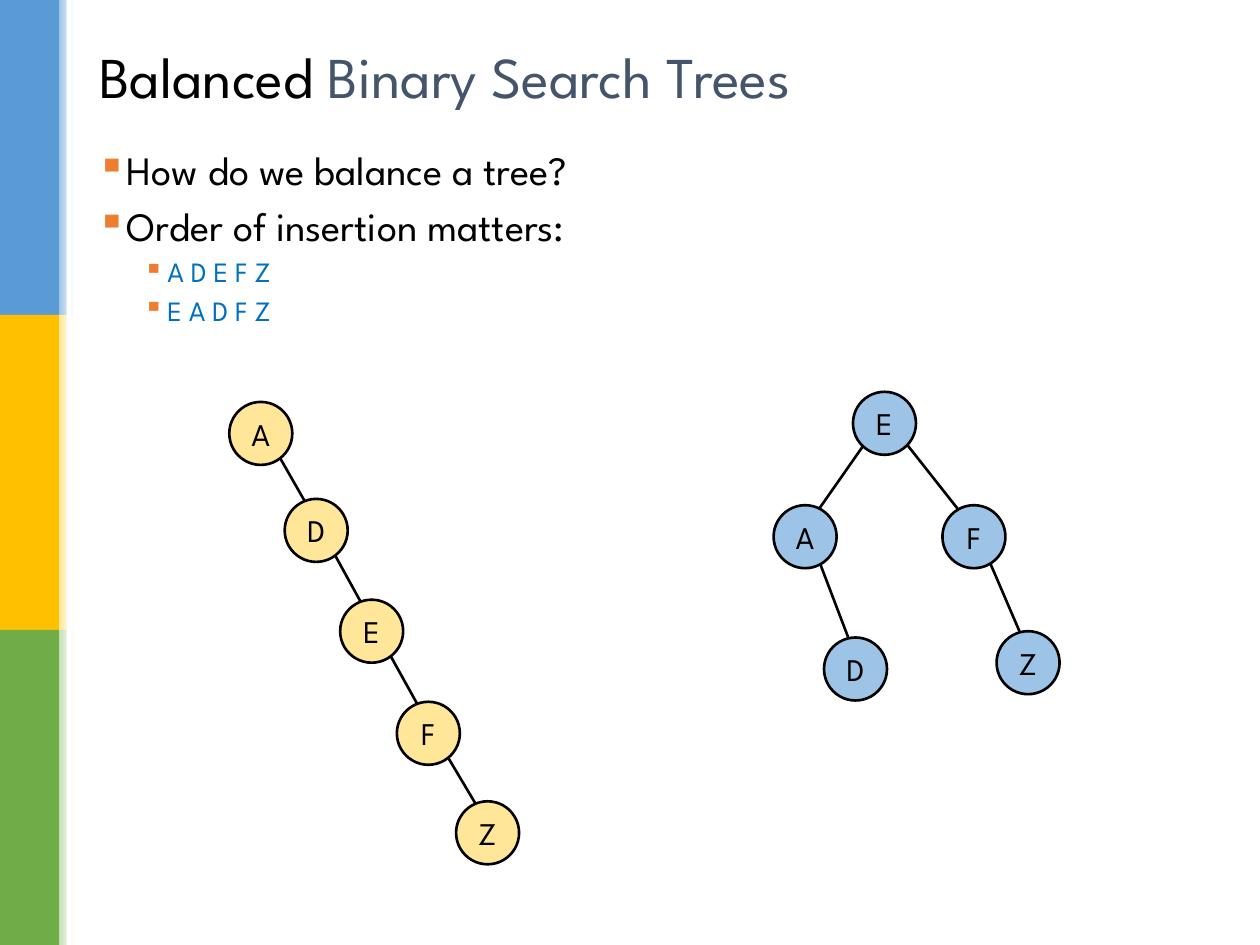
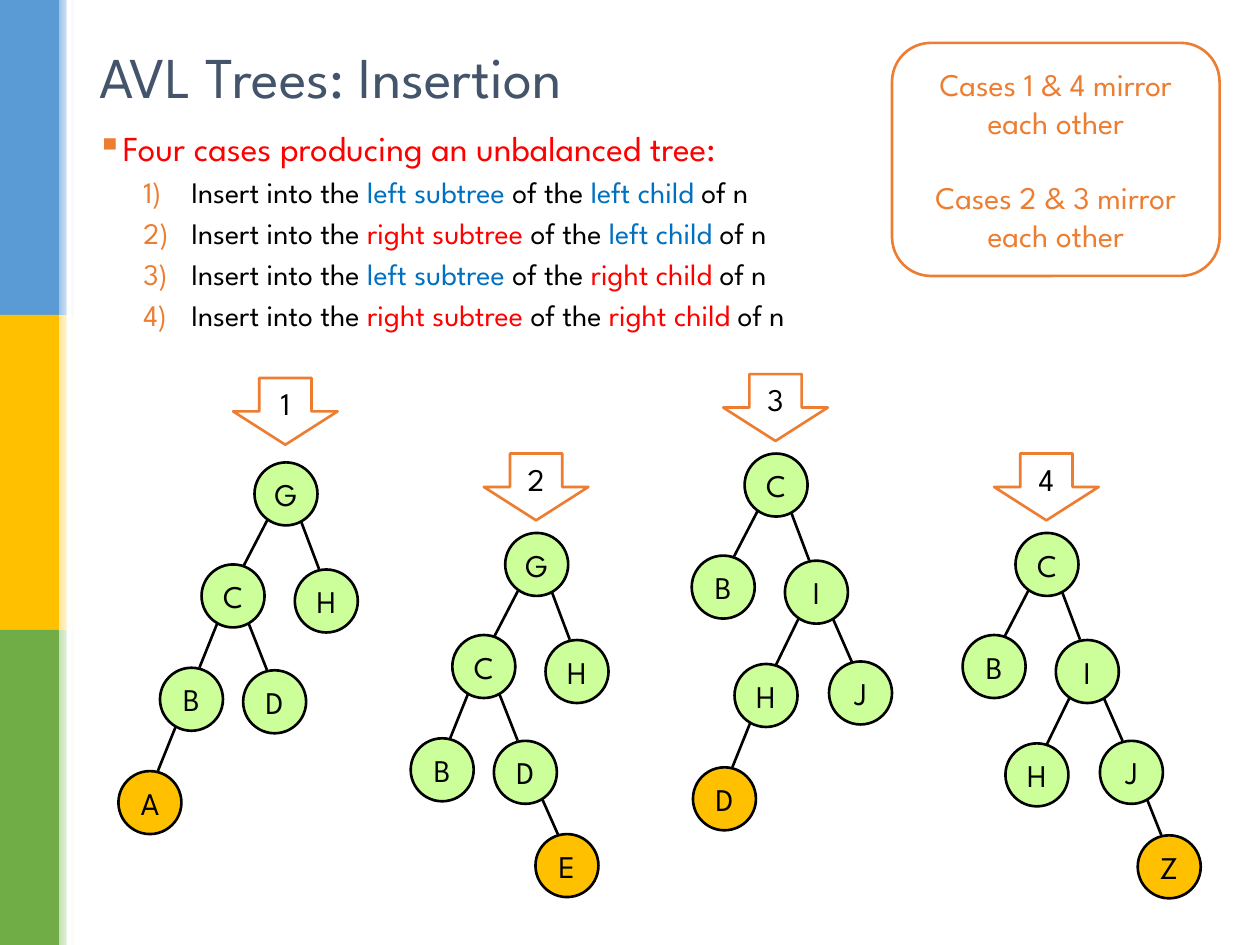
"""Two slides on balanced search trees and AVL insertion."""
from dataclasses import dataclass
from math import hypot

from lxml import etree
from pptx import Presentation
from pptx.dml.color import RGBColor
from pptx.enum.shapes import MSO_CONNECTOR, MSO_SHAPE
from pptx.enum.text import MSO_ANCHOR, PP_ALIGN
from pptx.oxml.ns import qn
from pptx.util import Inches, Pt

RECT, ROUND = MSO_SHAPE.RECTANGLE, MSO_SHAPE.ROUNDED_RECTANGLE
OVAL, ARROW = MSO_SHAPE.OVAL, MSO_SHAPE.DOWN_ARROW
LINE = MSO_CONNECTOR.STRAIGHT
MIDDLE, CENTER = MSO_ANCHOR.MIDDLE, PP_ALIGN.CENTER

FONT = "League Spartan"
BLACK, WHITE, SLATE = "000000", "FFFFFF", "44546A"
ORANGE, BLUE, RED = "ED7D31", "0070C0", "FF0000"
SKY, SAND, LIME, GOLD = "9DC3E6", "FFE699", "CCFF99", "FFC000"
BANDS = [("5B9BD5", SKY), (GOLD, SAND), ("70AD47", "C5E0B4")]
NODE = 0.5


@dataclass
class Run:
    """A piece of text in one colour."""
    text: str
    color: str = BLACK


@dataclass
class Item:
    """A list line; a number style takes the place of the square."""
    runs: list[Run]
    size: float
    left: float = 0.19
    hang: float = 0.19
    number: str = ""


@dataclass
class Node:
    """A tree node, placed from the root, with its parent's letter."""
    name: str
    x: float
    y: float
    up: str = ""
    fill: str = LIME


@dataclass
class Case:
    """An insertion case: root place, arrow top and nodes."""
    x: float
    y: float
    top: float
    nodes: list[Node]


def paint(color: str) -> RGBColor:
    """Turn a hex string into a colour."""
    return RGBColor.from_string(color)


def add_runs(para, runs: list[Run], size: float) -> None:
    """Add text to a paragraph run by run."""
    for part in runs:
        run = para.add_run()
        run.text = part.text
        run.font.name = FONT
        run.font.size = Pt(size)
        run.font.color.rgb = paint(part.color)


def add_shape(slide, kind, x: float, y: float, w: float, h: float,
              fill: str, line: str = ""):
    """Add a filled shape without shadow."""
    shape = slide.shapes.add_shape(kind, Inches(x), Inches(y), Inches(w), Inches(h))
    shape.shadow.inherit = False
    shape.fill.solid()
    shape.fill.fore_color.rgb = paint(fill)
    if line:
        shape.line.color.rgb = paint(line)
        shape.line.width = Pt(1.5)
    else:
        shape.line.fill.background()
    return shape


def add_label(shape, texts: list[str], color: str = BLACK, wrap: bool = True) -> None:
    """Centre text in a shape, one spare line between paragraphs."""
    frame = shape.text_frame
    frame.word_wrap = wrap
    frame.vertical_anchor = MIDDLE
    for i, text in enumerate(texts):
        para = frame.add_paragraph() if i else frame.paragraphs[0]
        para.alignment = CENTER
        if i:
            para.space_before = Pt(21.6)
        add_runs(para, [Run(text, color)], 18)


def add_box(slide, x: float, y: float, w: float, h: float):
    """Add a wrapping text box and return its frame."""
    box = slide.shapes.add_textbox(Inches(x), Inches(y), Inches(w), Inches(h))
    box.text_frame.word_wrap = True
    return box.text_frame


def add_bands(slide) -> None:
    """Draw the three colour bands with their faded edges."""
    for i, (color, _) in enumerate(BANDS):
        add_shape(slide, RECT, 0, 2.5 * i, 0.47, 2.5, color)
    for i, (_, pale) in enumerate(BANDS):
        edge = add_shape(slide, RECT, 0.47, 2.5 * i, 0.12, 2.5, pale)
        edge.fill.gradient()
        edge.fill.gradient_angle = 0
        for stop, color in zip(edge.fill.gradient_stops, (pale, WHITE)):
            stop.color.rgb = paint(color)
    add_shape(slide, RECT, 0.53, 0, 0.04, 7.5, WHITE)


def add_list(slide, top: float, items: list[Item]) -> None:
    """Write the body list with orange marks."""
    frame = add_box(slide, 0.67, top, 8.86, 6.98 - top)
    for i, item in enumerate(items):
        para = frame.add_paragraph() if i else frame.paragraphs[0]
        para.line_spacing = 0.9
        props = para._p.get_or_add_pPr()
        props.set("marL", str(Inches(item.left)))
        props.set("indent", str(-Inches(item.hang)))
        gap = etree.SubElement(props, qn("a:spcBef"))
        etree.SubElement(gap, qn("a:spcPct"), val="30000")
        tint = etree.SubElement(props, qn("a:buClr"))
        etree.SubElement(tint, qn("a:srgbClr"), val=ORANGE)
        if item.number:
            etree.SubElement(props, qn("a:buAutoNum"), type=item.number)
        else:
            etree.SubElement(props, qn("a:buChar"), char="▪")
        add_runs(para, item.runs, item.size)


def add_edge(slide, start: Node, end: Node, x: float, y: float) -> None:
    """Join two nodes rim to rim, a little to the outer side."""
    dx, dy = end.x - start.x, end.y - start.y
    part = NODE / 2 / hypot(dx, dy)
    x += NODE / 2 + (0.03 if dx > 0 else -0.03)
    y += NODE / 2 - 0.02
    line = slide.shapes.add_connector(
        LINE,
        Inches(x + start.x + dx * part), Inches(y + start.y + dy * part),
        Inches(x + end.x - dx * part), Inches(y + end.y - dy * part))
    line.line.color.rgb = paint(BLACK)
    line.line.width = Pt(1.5)
    etree.SubElement(line._element.spPr, qn("a:effectLst"))


def add_tree(slide, x: float, y: float, nodes: list[Node]) -> None:
    """Draw a tree with its root's corner at x, y."""
    known = {node.name: node for node in nodes}
    for node in nodes:
        oval = add_shape(slide, OVAL, x + node.x, y + node.y, NODE, NODE,
                         node.fill, BLACK)
        add_label(oval, [node.name], wrap=False)
    for node in nodes:
        if node.up:
            add_edge(slide, known[node.up], node, x, y)


def add_page(deck, title: list[Run]):
    """Add a slide with bands and title."""
    slide = deck.slides.add_slide(deck.slide_layouts[6])
    add_bands(slide)
    frame = add_box(slide, 0.69, 0.26, 8.62, 0.68)
    frame.vertical_anchor = MIDDLE
    add_runs(frame.paragraphs[0], title, 33)
    return slide


def add_order(deck) -> None:
    """Build the slide on insertion order."""
    slide = add_page(deck, [Run("Balanced"), Run(" Binary Search Trees", SLATE)])
    heads = ["How do we balance a tree?", "Order of insertion matters:"]
    orders = ["A D E F Z", "E A D F Z"]
    add_list(slide, 1.15, [Item([Run(text)], 23) for text in heads]
             + [Item([Run(text, BLUE)], 16, 0.56) for text in orders])
    add_tree(slide, 1.82, 3.19, [
        Node("A", 0, 0, "", SAND),
        Node("D", 0.44, 0.77, "A", SAND),
        Node("E", 0.88, 1.57, "D", SAND),
        Node("F", 1.33, 2.38, "E", SAND),
        Node("Z", 1.8, 3.17, "F", SAND)])
    add_tree(slide, 6.77, 3.11, [
        Node("E", 0, 0, "", SKY),
        Node("A", -0.63, 0.9, "E", SKY),
        Node("F", 0.71, 0.9, "E", SKY),
        Node("D", -0.23, 1.95, "A", SKY),
        Node("Z", 1.14, 1.9, "F", SKY)])


def add_cases(deck) -> None:
    """Build the slide on the four insertion cases."""
    slide = add_page(deck, [Run("AVL Trees: Insertion", SLATE)])
    tints = {"left": BLUE, "right": RED}
    items = [Item([Run("Four cases producing an unbalanced tree:", RED)], 20)]
    for child in tints:
        for side in tints:
            runs = [Run("Insert into the "), Run(f"{side} subtree ", tints[side]),
                    Run("of the "), Run(f"{child} child ", tints[child]),
                    Run("of n")]
            items.append(Item(runs, 17, 0.75, 0.38, "arabicParenR"))
    add_list(slide, 0.99, items)

    left = [Node("G", 0, 0), Node("H", 0.32, 0.85, "G"),
            Node("C", -0.42, 0.81, "G"), Node("B", -0.75, 1.63, "C"),
            Node("D", -0.09, 1.65, "C")]
    right = [Node("C", 0, 0), Node("I", 0.32, 0.85, "C"),
             Node("B", -0.42, 0.81, "C"), Node("J", 0.67, 1.65, "I"),
             Node("H", -0.08, 1.67, "I")]
    cases = [
        Case(2.02, 3.67, 3, left + [Node("A", -1.08, 2.45, "B", GOLD)]),
        Case(4.01, 4.23, 3.6, left + [Node("E", 0.24, 2.39, "D", GOLD)]),
        Case(5.91, 3.6, 2.97, right + [Node("D", -0.41, 2.49, "H", GOLD)]),
        Case(8.06, 4.23, 3.6, right + [Node("Z", 0.97, 2.4, "J", GOLD)])]
    for i, case in enumerate(cases, 1):
        add_tree(slide, case.x, case.y, case.nodes)
        arrow = add_shape(slide, ARROW, case.x - 0.17, case.top, 0.83, 0.53,
                          WHITE, ORANGE)
        add_label(arrow, [str(i)])
    note = add_shape(slide, ROUND, 7.08, 0.34, 2.6, 1.85, WHITE, ORANGE)
    add_label(note, [f"Cases {pair} mirror each other" for pair in ("1 & 4", "2 & 3")],
              ORANGE)


def main() -> None:
    """Build and save the deck."""
    deck = Presentation()
    deck.slide_width, deck.slide_height = Inches(10), Inches(7.5)
    add_order(deck)
    add_cases(deck)
    deck.save("out.pptx")


main()
